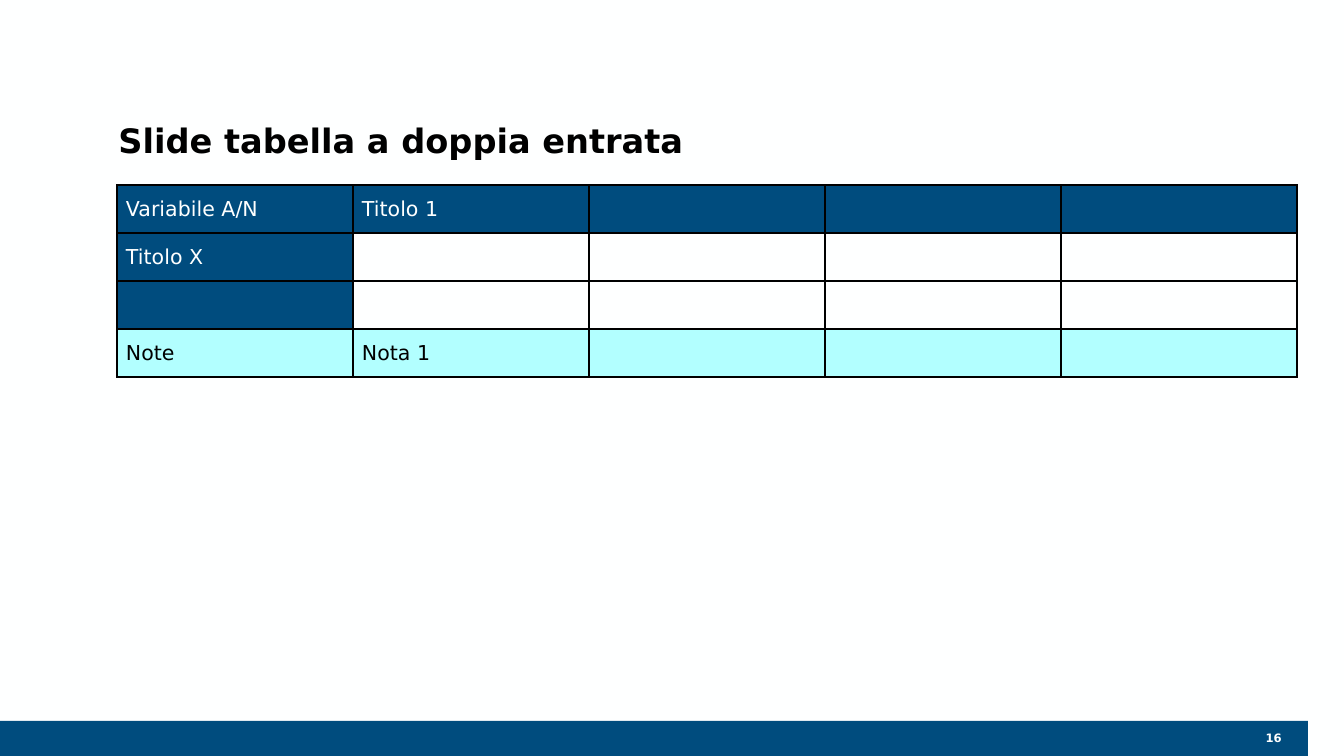
import dataclasses

import lxml.etree
import pptx
import pptx.dml.color
import pptx.enum.shapes
import pptx.enum.text
import pptx.oxml.ns
import pptx.util

SCALE = 914400 / 134.4
HEADINGS = ["Variabile A/N", "Titolo 1", "", "", ""]
ROWS = [
    HEADINGS,
    ["Titolo X", "", "", "", ""],
    ["", "", "", "", ""],
    ["Note", "Nota 1", "", "", ""],
]


@dataclasses.dataclass(frozen=True)
class Theme:
    """Colours and type of the slide."""
    font: str = "DejaVu Sans"
    paper: str = "FEFFFF"
    ink: str = "000000"
    navy: str = "004C7E"
    aqua: str = "B2FFFF"
    title_size: float = 18
    cell_size: float = 11
    number_size: float = 6.2
    border: float = 1


THEME = Theme()


def px(length):
    """Turn px into EMU."""
    return pptx.util.Emu(round(length * SCALE))


def rgb(colour):
    """Turn a hex string into a colour."""
    return pptx.dml.color.RGBColor.from_string(colour)


def paint(fill, colour):
    """Give a fill one solid colour."""
    fill.solid()
    fill.fore_color.rgb = rgb(colour)


def write(paragraph, text, size, colour, bold=False):
    """Add one styled run to a paragraph."""
    run = paragraph.add_run()
    run.text = text
    run.font.name = THEME.font
    run.font.size = pptx.util.Pt(size)
    run.font.bold = bold
    run.font.color.rgb = rgb(colour)


def add_footer(slide, box, number):
    """Draw the bottom bar with the page number at its right end."""
    left, top, width, height = box
    bar = slide.shapes.add_shape(
        pptx.enum.shapes.MSO_SHAPE.RECTANGLE, *map(px, box))
    bar.shadow.inherit = False
    paint(bar.fill, THEME.navy)
    bar.line.fill.background()
    page = slide.shapes.add_textbox(
        px(left + width - 162), px(top + 3), px(149), px(height - 7))
    page.text_frame.word_wrap = True
    page.text_frame.vertical_anchor = pptx.enum.text.MSO_ANCHOR.MIDDLE
    paragraph = page.text_frame.paragraphs[0]
    paragraph.alignment = pptx.enum.text.PP_ALIGN.RIGHT
    write(paragraph, number, THEME.number_size, THEME.paper, True)


def add_title(slide, box, text):
    """Place and format the title placeholder."""
    title = slide.shapes.title
    title.left, title.top, title.width, title.height = map(px, box)
    frame = title.text_frame
    frame.word_wrap = True
    frame.auto_size = pptx.enum.text.MSO_AUTO_SIZE.NONE
    frame.vertical_anchor = pptx.enum.text.MSO_ANCHOR.TOP
    paragraph = frame.paragraphs[0]
    paragraph.alignment = pptx.enum.text.PP_ALIGN.LEFT
    paragraph.line_spacing = 1.2
    write(paragraph, text, THEME.title_size, THEME.ink, True)


def add_borders(cell):
    """Draw a line on each side of a cell."""
    qn = pptx.oxml.ns.qn
    properties = cell._tc.get_or_add_tcPr()
    for side in ("a:lnL", "a:lnR", "a:lnT", "a:lnB"):
        line = lxml.etree.SubElement(
            properties, qn(side), w=str(pptx.util.Pt(THEME.border)))
        solid = lxml.etree.SubElement(line, qn("a:solidFill"))
        lxml.etree.SubElement(solid, qn("a:srgbClr"), val=THEME.ink)


def fill_cell(cell, text, background, ink):
    """Format one cell and write its text."""
    cell.vertical_anchor = pptx.enum.text.MSO_ANCHOR.MIDDLE
    cell.margin_left = cell.margin_right = px(9)
    cell.margin_top = cell.margin_bottom = px(5)
    add_borders(cell)
    if background:
        paint(cell.fill, background)
    else:
        cell.fill.background()
    paragraph = cell.text_frame.paragraphs[0]
    if text:
        write(paragraph, text, THEME.cell_size, ink)
    else:
        lxml.etree.SubElement(
            paragraph._p, pptx.oxml.ns.qn("a:endParaRPr"),
            sz=str(THEME.cell_size * 100))


def add_two_way_table(slide, box, rows):
    """Build the table with heading row, heading column and note row."""
    left, top, width, height = box
    table = slide.shapes.add_table(
        len(rows), len(rows[0]), *map(px, box)).table
    table.first_row = table.horz_banding = False
    for column in table.columns:
        column.width = px(width / len(rows[0]))
    for row in table.rows:
        row.height = px(height / len(rows))
    for r, texts in enumerate(rows):
        for c, text in enumerate(texts):
            if r == len(rows) - 1:
                background, ink = THEME.aqua, THEME.ink
            elif r == 0 or c == 0:
                background, ink = THEME.navy, THEME.paper
            else:
                background, ink = None, THEME.ink
            fill_cell(table.cell(r, c), text, background, ink)


def main():
    """Build and save the slide."""
    deck = pptx.Presentation()
    deck.slide_width, deck.slide_height = px(1344), px(756)
    slide = deck.slides.add_slide(deck.slide_layouts[5])
    paint(slide.background.fill, THEME.paper)
    add_footer(slide, (0, 721, 1308, 35), "16")
    add_title(slide, (105, 105, 1204, 94), "Slide tabella a doppia entrata")
    add_two_way_table(slide, (117, 185, 1180, 192), ROWS)
    deck.save("out.pptx")


if __name__ == "__main__":
    main()
